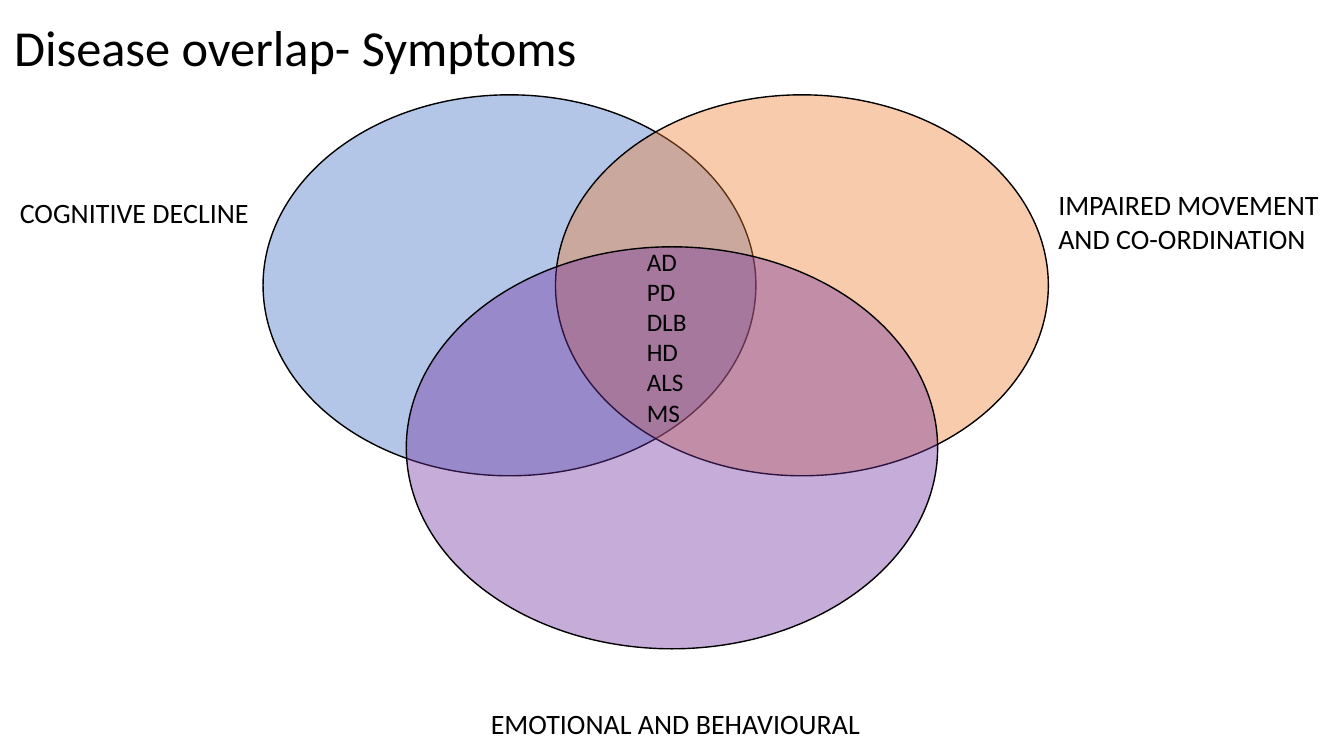
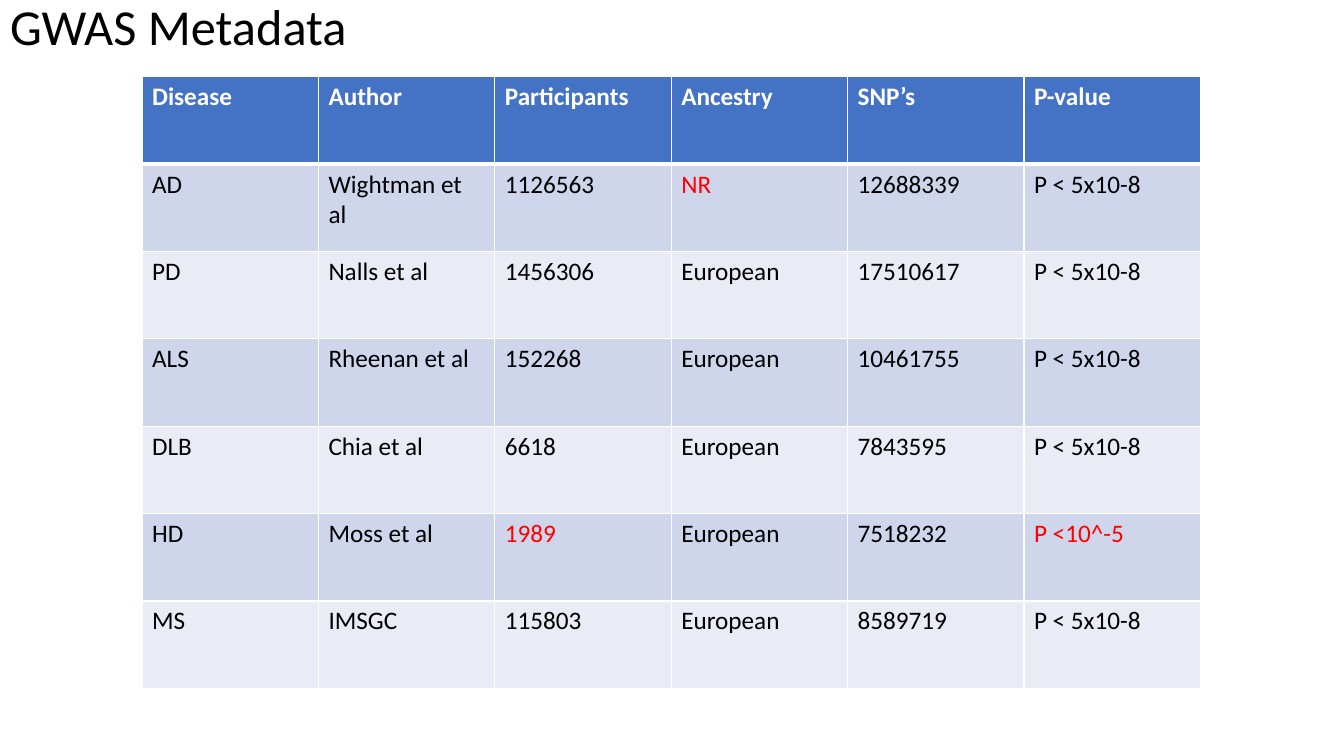
"""Build two slides on neurodegenerative disease overlap and GWAS metadata."""
from lxml.etree import SubElement
from pptx import Presentation
from pptx.dml.color import RGBColor
from pptx.enum.shapes import MSO_SHAPE
from pptx.enum.text import MSO_ANCHOR, MSO_AUTO_SIZE, PP_ALIGN
from pptx.oxml.ns import qn
from pptx.util import Cm, Pt

BLACK = RGBColor(0x00, 0x00, 0x00)
WHITE = RGBColor(0xFF, 0xFF, 0xFF)
RED = RGBColor(0xFF, 0x00, 0x00)
BLUE = RGBColor(0x44, 0x72, 0xC4)
ORANGE = RGBColor(0xED, 0x7D, 0x31)
PURPLE = RGBColor(0x70, 0x30, 0xA0)
BAND_DARK = RGBColor(0xCF, 0xD5, 0xEA)
BAND_LIGHT = RGBColor(0xE9, 0xEB, 0xF5)

TITLE_ONLY = 5
TITLE_FONT = {"name": "Calibri", "size": Pt(36), "bold": False}
LABEL_FONT = {"name": "Calibri", "size": Pt(20)}
BODY_FONT = {"name": "Calibri", "size": Pt(18), "bold": False}
HEADER_FONT = BODY_FONT | {"bold": True}

SYMPTOM_SETS = [
    (BLUE, (6.63, 2.39, 12.42, 9.6)),
    (ORANGE, (14, 2.39, 12.42, 9.6)),
    (PURPLE, (10.24, 6.22, 13.39, 10.13)),
]
SYMPTOM_LABELS = [
    ("COGNITIVE DECLINE", (0.25, 4.8, 7.19, 1.12)),
    ("IMPAIRED MOVEMENT AND CO-ORDINATION", (26.42, 4.6, 7.24, 1.96)),
    ("EMOTIONAL AND BEHAVIOURAL", (12.12, 17.68, 12.9, 1.12)),
]
SHARED_DISEASES = ["AD", "PD", "DLB", "HD", "ALS", "MS"]

STUDIES = [
    ("Disease", "Author", "Participants", "Ancestry", "SNP’s", "P-value"),
    ("AD", "Wightman et al", "1126563", "NR", "12688339", "P < 5x10-8"),
    ("PD", "Nalls et al", "1456306", "European", "17510617", "P < 5x10-8"),
    ("ALS", "Rheenan et al", "152268", "European", "10461755", "P < 5x10-8"),
    ("DLB", "Chia et al", "6618", "European", "7843595", "P < 5x10-8"),
    ("HD", "Moss et al", "1989", "European", "7518232", "P <10^-5"),
    ("MS", "IMSGC", "115803", "European", "8589719", "P < 5x10-8"),
]
FLAGGED_VALUES = {"NR", "1989", "P <10^-5"}


def in_cm(box):
    """Convert a box of centimetre numbers to lengths."""
    return [Cm(value) for value in box]


def format_font(font, values, color=BLACK):
    """Apply the format values and the colour to a font."""
    for name, value in values.items():
        setattr(font, name, value)
    font.color.rgb = color


def add_titled_slide(presentation, text, box):
    """Add a title-only slide with a left-aligned title in the box."""
    slide = presentation.slides.add_slide(presentation.slide_layouts[TITLE_ONLY])
    title = slide.shapes.title
    title.left, title.top, title.width, title.height = in_cm(box)
    frame = title.text_frame
    frame.text = text
    frame.auto_size = MSO_AUTO_SIZE.NONE
    frame.vertical_anchor = MSO_ANCHOR.MIDDLE
    paragraph = frame.paragraphs[0]
    paragraph.alignment = PP_ALIGN.LEFT
    paragraph.line_spacing = 0.9
    format_font(paragraph.runs[0].font, TITLE_FONT)
    return slide


def add_text(slide, lines, box, font_values):
    """Add a wrapped text box with one paragraph per line."""
    frame = slide.shapes.add_textbox(*in_cm(box)).text_frame
    frame.word_wrap = True
    frame.auto_size = MSO_AUTO_SIZE.SHAPE_TO_FIT_TEXT
    frame.text = "\n".join(lines)
    for paragraph in frame.paragraphs:
        format_font(paragraph.runs[0].font, font_values)


def add_venn_ellipse(group, color, box, opacity=40):
    """Add a translucent ellipse with a thin black outline."""
    ellipse = group.shapes.add_shape(MSO_SHAPE.OVAL, *in_cm(box))
    ellipse.shadow.inherit = False
    ellipse.fill.solid()
    ellipse.fill.fore_color.rgb = color
    color_element = ellipse.element.spPr.find(qn("a:solidFill"))[0]
    SubElement(color_element, qn("a:alpha"), val=str(opacity * 1000))
    ellipse.line.color.rgb = BLACK
    ellipse.line.width = Pt(1)


def set_borders(cell, top=1, bottom=1):
    """Give a cell white borders, with top and bottom widths in points."""
    properties = cell._tc.get_or_add_tcPr()
    for side, width in {"L": 1, "R": 1, "T": top, "B": bottom}.items():
        line = SubElement(properties, qn(f"a:ln{side}"), w=str(Pt(width)))
        fill = SubElement(line, qn("a:solidFill"))
        SubElement(fill, qn("a:srgbClr"), val=str(WHITE))


def fill_cell(cell, row_index, text):
    """Write and format one cell according to its row and value."""
    if row_index == 0:
        fill, font_values, color = BLUE, HEADER_FONT, WHITE
    else:
        fill = BAND_DARK if row_index % 2 else BAND_LIGHT
        font_values = BODY_FONT
        color = RED if text in FLAGGED_VALUES else BLACK
    set_borders(cell, 3 if row_index == 1 else 1, 3 if row_index == 0 else 1)
    cell.fill.solid()
    cell.fill.fore_color.rgb = fill
    cell.text = text
    format_font(cell.text_frame.paragraphs[0].runs[0].font, font_values, color)


def add_study_table(slide, rows, box):
    """Add a table with equal columns and rows in the box."""
    table = slide.shapes.add_table(len(rows), len(rows[0]), *in_cm(box)).table
    table.horz_banding = False
    for row_index, row in enumerate(rows):
        for column_index, text in enumerate(row):
            fill_cell(table.cell(row_index, column_index), row_index, text)


def build_symptom_slide(presentation):
    """Build the Venn diagram of symptoms."""
    slide = add_titled_slide(
        presentation, "Disease overlap- Symptoms", (0.1, 0, 18.75, 2.51))
    group = slide.shapes.add_group_shape()
    for color, box in SYMPTOM_SETS:
        add_venn_ellipse(group, color, box)
    for label, box in SYMPTOM_LABELS:
        add_text(slide, [label], box, LABEL_FONT)
    add_text(slide, SHARED_DISEASES, (16.05, 6.07, 1.78, 5.64), BODY_FONT)


def build_metadata_slide(presentation):
    """Build the table of GWAS studies."""
    slide = add_titled_slide(
        presentation, "GWAS Metadata", (0, -0.48, 10.9, 2.41))
    add_study_table(slide, STUDIES, (3.58, 1.93, 26.67, 15.42))


def main():
    """Build and save the presentation."""
    presentation = Presentation()
    presentation.slide_width, presentation.slide_height = Cm(33.87), Cm(19.05)
    build_symptom_slide(presentation)
    build_metadata_slide(presentation)
    presentation.save("out.pptx")


if __name__ == "__main__":
    main()
